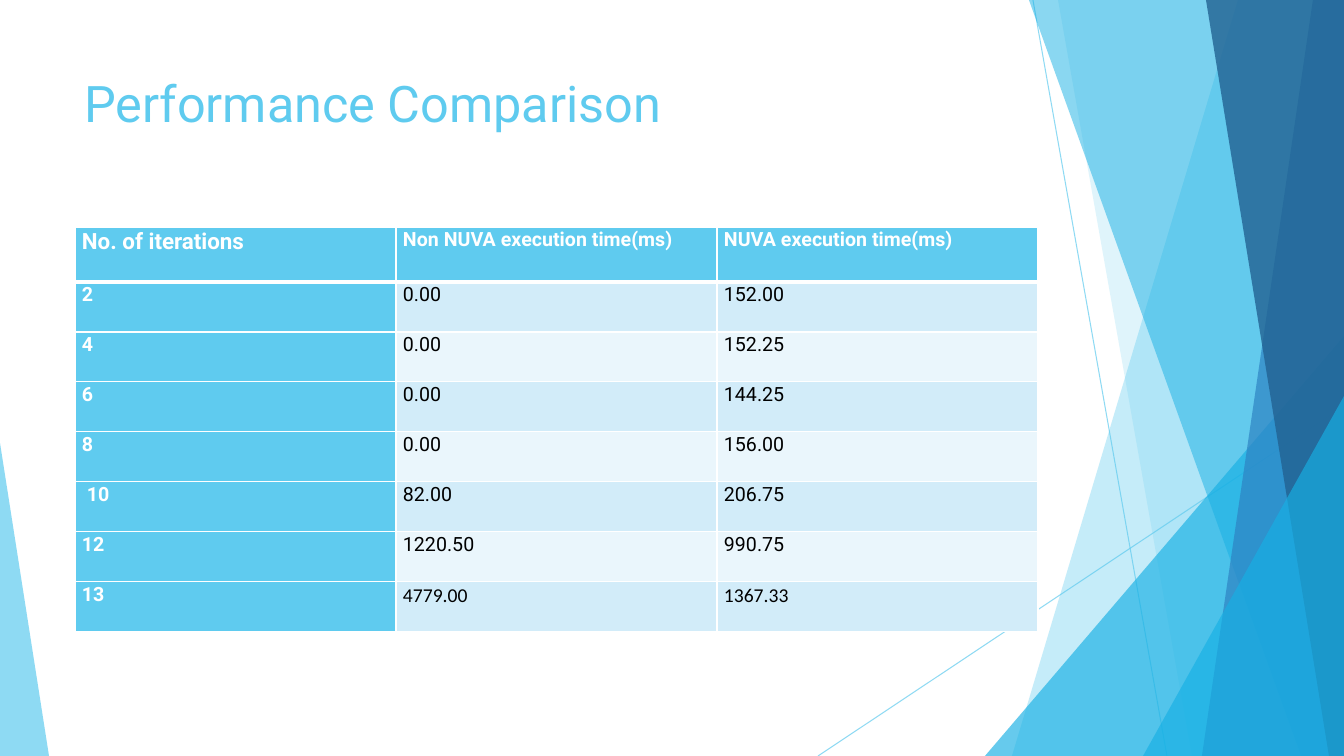
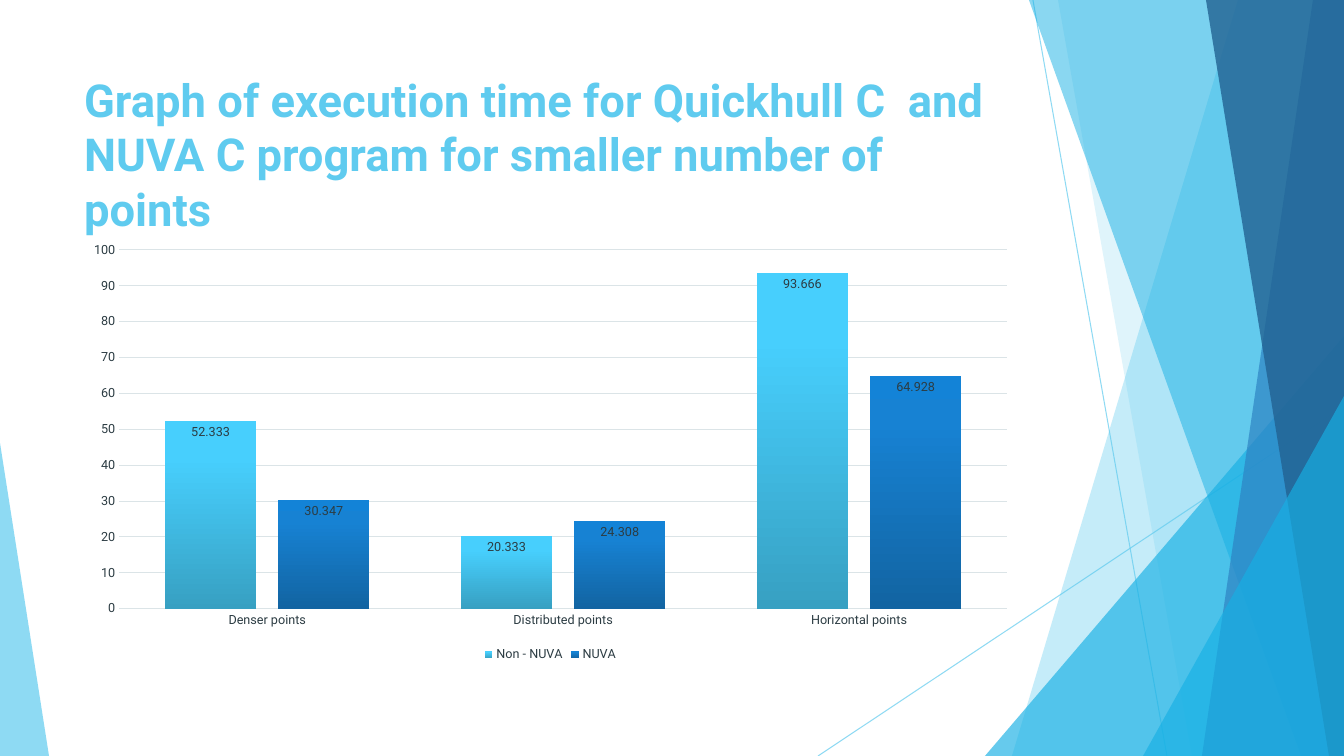
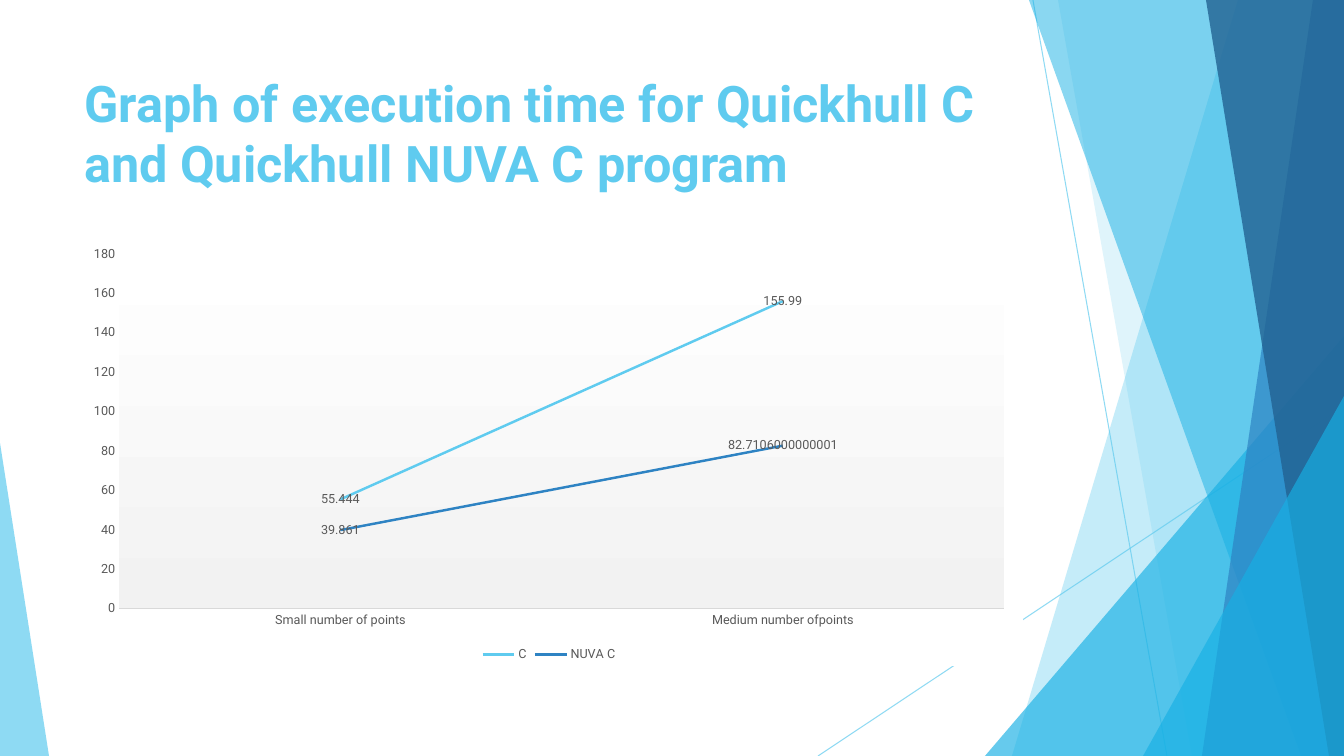
from lxml.etree import SubElement
from pptx import Presentation
from pptx.chart.data import CategoryChartData as Data
from pptx.dml.color import RGBColor
from pptx.enum.chart import XL_CHART_TYPE as Kind, XL_LABEL_POSITION as Spot
from pptx.enum.chart import XL_LEGEND_POSITION as Side, XL_TICK_MARK as Tick
from pptx.enum.shapes import MSO_CONNECTOR as Link, MSO_SHAPE as Form
from pptx.enum.text import MSO_ANCHOR as Anchor, MSO_AUTO_SIZE as Fit, PP_ALIGN as Align
from pptx.oxml import parse_xml
from pptx.oxml.ns import nsdecls, qn
from pptx.util import Pt

PX = 914400 / 100.8
WIDE, HIGH = 1344, 756
FONT = "Roboto"
SKY, CYAN, BLUE, NAVY = "5FCBEF", "17B0E4", "2E83C3", "226292"
WHITE, BLACK = "FFFFFF", "000000"
color = RGBColor.from_string


def px(*nums):
    return [round(n * PX) for n in nums]


def style(font, size, ink, bold=False, name=FONT):
    font.name, font.size, font.bold = name, Pt(size), bold
    font.color.rgb = color(ink)


prs = Presentation()
prs.slide_width, prs.slide_height = px(WIDE, HIGH)
layout = prs.slide_layouts.get_by_name("Title Only")

# Titles
head = layout.placeholders[0]
head.left, head.top, head.width, head.height = px(74, 67, 948, 145)
slides = []
for text, size, bold in [
    ("Performance Comparison", 36, False),
    ("Graph of execution time for Quickhull C  and NUVA C program "
     "for smaller number of points", 32.4, True),
    ("Graph of execution time for Quickhull C and Quickhull NUVA C program", 36, True),
]:
    slide = prs.slides.add_slide(layout)
    frame = slide.shapes.title.text_frame
    frame.auto_size, frame.vertical_anchor = Fit.NONE, Anchor.TOP
    para = frame.paragraphs[0]
    para.alignment = Align.LEFT
    run = para.add_run()
    run.text = text
    style(run.font, size, SKY, bold)
    slides.append(slide)

# Facets, drawn on the first slide and moved to the master
shapes = slides[0].shapes
facets = []
for ends in [(1033, 0, 1167, HIGH), (WIDE, 406, 818, HIGH)]:
    line = shapes.add_connector(Link.STRAIGHT, *px(*ends))
    line.line.width = Pt(0.75)
    line.line.color.rgb = color(SKY)
    SubElement(line.element.spPr, qn("a:effectLst"))
    facets.append((line, 70))

# A band runs from (top x, bottom x) to the right edge; a triangle has (left, top, width, tip)
for dims, hue, alpha in [
    ((1238, 1012), SKY, 36),
    ((1058, 1192), SKY, 20),
    ((985, 336, 359, 1), CYAN, 66),
    ((1029, 1301), CYAN, 50),
    ((1313, 1202), BLUE, 70),
    ((1206, 1329), NAVY, 80),
    ((1143, 396, 201, 1), CYAN, 66),
    ((0, 443, 49, 0), SKY, 70),
]:
    if len(dims) == 2:
        top, base = dims
        pen = shapes.build_freeform(top, 0, scale=PX)
        pen.add_line_segments([(WIDE, 0), (WIDE, HIGH), (base, HIGH)], close=True)
        facet = pen.convert_to_shape()
    else:
        left, top, width, tip = dims
        facet = shapes.add_shape(Form.ISOSCELES_TRIANGLE, *px(left, top, width, HIGH - top))
        facet.adjustments[0] = tip
    facet.fill.solid()
    facet.fill.fore_color.rgb = color(hue)
    facet.line.fill.background()
    facet.shadow.inherit = False
    facets.append((facet, alpha))

for i, (facet, alpha) in enumerate(facets):
    tint = facet.element.xpath(".//a:srgbClr")[0]
    SubElement(tint, qn("a:alpha")).set("val", str(alpha * 1000))
    facet.element.xpath(".//p:cNvPr")[0].set("id", str(20 + i))
    prs.slide_master.shapes.element.insert(2 + i, facet.element)

# Table of times
rows = [
    ("No. of iterations", "Non NUVA execution time(ms)", "NUVA execution time(ms)"),
    ("2", "0.00", "152.00"),
    ("4", "0.00", "152.25"),
    ("6", "0.00", "144.25"),
    ("8", "0.00", "156.00"),
    (" 10", "82.00", "206.75"),
    ("12", "1220.50", "990.75"),
    ("13", "4779.00", "1367.33"),
]
table = shapes.add_table(len(rows), 3, *px(75, 227, 963, 405)).table
table.first_col = True
for r, row in enumerate(rows):
    table.rows[r].height = px(50 if r else 55)[0]
    for c, text in enumerate(row):
        cell = table.cell(r, c)
        cell.margin_left, cell.margin_right, cell.margin_top, cell.margin_bottom = px(7, 7, 0, 0)
        for side in "LRTB":
            thick = 3 if (r, side) in [(0, "B"), (1, "T")] else 1
            cell._tc.tcPr.append(parse_xml(
                f'<a:ln{side} {nsdecls("a")} w="{Pt(thick)}"><a:solidFill>'
                f'<a:srgbClr val="{WHITE}"/></a:solidFill></a:ln{side}>'))
        key = r == 0 or c == 0
        cell.fill.solid()
        cell.fill.fore_color.rgb = color(SKY if key else "D2ECF9" if r % 2 else "EAF6FC")
        para = cell.text_frame.paragraphs[0]
        para.line_spacing = 1.07
        run = para.add_run()
        run.text = text
        style(run.font, 14 if r or c else 16, WHITE if key else BLACK, key,
              "Calibri" if r == 7 and c else FONT)


def grad(stops, angle):
    marks = "".join(f'<a:gs pos="{at * 1000}"><a:srgbClr val="{hue}"/></a:gs>'
                    for at, hue in stops)
    return parse_xml(f'<a:gradFill {nsdecls("a")} rotWithShape="1"><a:gsLst>{marks}</a:gsLst>'
                     f'<a:lin ang="{angle * 60000}" scaled="0"/></a:gradFill>')


# Charts
for slide, kind, box, ink, rule, cats, sets, peak, step, spot in [
    (slides[1], Kind.COLUMN_CLUSTERED, (75, 234, 951, 432), "2C3C43", "DBE4E7",
     ["Denser points", "Distributed points", "Horizontal points"],
     [("Non - NUVA", [52.333, 20.333, 93.666], ("37A0C2", "47CFFD", "46D1FF")),
      ("NUVA", [30.347, 24.308, 64.928], ("1264A2", "1782D3", "1383D7"))],
     100, 10, Spot.INSIDE_END),
    (slides[2], Kind.LINE, (75, 238, 948, 428), "595959", "D9D9D9",
     ["Small number of points", "Medium number ofpoints"],
     [("C", [55.444, 155.99], SKY),
      ("NUVA C", [39.861, 82.7106000000001], BLUE)],
     180, 20, Spot.CENTER),
]:
    data = Data()
    data.categories = cats
    for name, vals, hue in sets:
        data.add_series(name, vals)
    chart = slide.shapes.add_chart(kind, *px(*box), data).chart
    chart.has_title = False
    style(chart.font, 10, BLACK)
    chart.has_legend = True
    chart.legend.position = Side.BOTTOM
    chart.legend.include_in_layout = False
    style(chart.legend.font, 9, ink)

    across, up = chart.category_axis, chart.value_axis
    for axis in (across, up):
        axis.major_tick_mark = axis.minor_tick_mark = Tick.NONE
        style(axis.tick_labels.font, 9, ink)
    across.format.line.color.rgb = color(rule)
    across.format.line.width = Pt(0.75)
    up.format.line.fill.background()
    up.minimum_scale, up.maximum_scale, up.major_unit = 0, peak, step
    bars = kind == Kind.COLUMN_CLUSTERED
    up.has_major_gridlines = bars

    plot = chart.plots[0]
    plot.vary_by_categories = False
    for series, (name, vals, hue) in zip(plot.series, sets):
        tags = series.data_labels
        tags.show_value = True
        tags.position = spot
        style(tags.font, 9, ink)
        if bars:
            series._element.get_or_add_spPr().append(grad(zip((0, 80, 100), hue), 270))
        else:
            series.smooth = False
            series.format.line.color.rgb = color(hue)
            series.format.line.width = Pt(1.75)

    if bars:
        plot.gap_width, plot.overlap = 100, -24
        grid = up.major_gridlines.format.line
        grid.color.rgb = color(rule)
        grid.width = Pt(0.75)
    else:
        area = SubElement(chart.element.xpath(".//c:plotArea")[0], qn("c:spPr"))
        area.append(grad([(0, WHITE), (100, "F2F2F2")], 90))
        chart.element.xpath("c:chart")[0].addnext(parse_xml(
            f'<c:spPr {nsdecls("c", "a")}><a:solidFill><a:srgbClr val="{WHITE}"/>'
            '</a:solidFill><a:ln><a:noFill/></a:ln></c:spPr>'))

prs.save("out.pptx")
